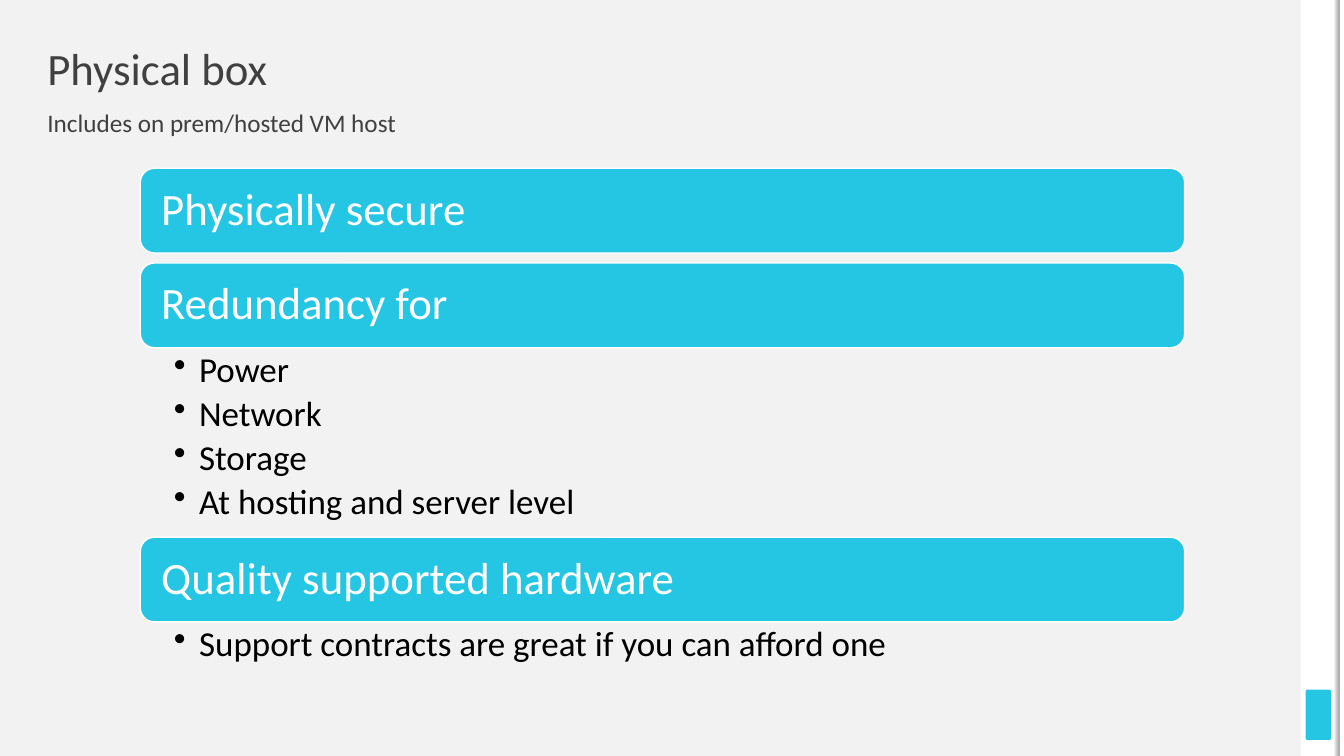
from pptx import Presentation
from pptx.dml.color import RGBColor as Rgb
from pptx.enum.shapes import MSO_SHAPE as Kind
from pptx.enum.text import MSO_ANCHOR as Anchor, PP_ALIGN as Align
from pptx.oxml import parse_xml
from pptx.oxml.ns import nsdecls
from pptx.util import Inches, Pt

WIDE, HIGH = 13.33, 7.5
ROWS = 90
CELL = HIGH / ROWS
CYAN, WHITE, PALE, GREY, INK, BLACK = (
    "25C6E3", "FFFFFF", "F2F2F2", "A6A6A6", "404040", "000000")


def hue(code):
    """Turn a hex string into a colour."""
    return Rgb.from_string(code)


def grid(cells):
    """Turn grid cells into a length."""
    return Inches(cells * CELL)


def apply(target, values):
    """Set each attribute named in a dict."""
    for name, value in values.items():
        setattr(target, name, value)


class Page:
    """Holds the style and the current slide."""

    font = "Calibri"
    sides = ("margin_left", "margin_top", "margin_right", "margin_bottom")

    def __init__(self, deck):
        """Add a blank slide with a pale background."""
        self.slide = deck.slides.add_slide(deck.slide_layouts[6])
        self.shapes = self.slide.shapes
        fill = self.slide.background.fill
        fill.solid()
        fill.fore_color.rgb = hue(PALE)

    def block(self, box, fill, kind=Kind.RECTANGLE, edge=None, fade=None, bend=None):
        """Draw a plain or fading shape."""
        shape = self.shapes.add_shape(kind, *map(grid, box))
        shape.shadow.inherit = False
        if fade:
            shape.fill.gradient()
            shape.fill.gradient_angle = 0
            for stop, code in zip(shape.fill.gradient_stops, (fill, fade)):
                stop.color.rgb = hue(code)
        else:
            shape.fill.solid()
            shape.fill.fore_color.rgb = hue(fill)
        if edge:
            shape.line.color.rgb = hue(edge)
            shape.line.width = Pt(1)
        else:
            shape.line.fill.background()
        if bend is not None:
            shape.adjustments[0] = bend
        return shape

    def fill_in(self, frame, lines, size, code, pad=(0, 0, 0, 0),
                anchor=Anchor.TOP, after=0, dots=False):
        """Fill a text frame, one paragraph a line."""
        apply(frame, {"word_wrap": True, "vertical_anchor": anchor})
        apply(frame, dict(zip(self.sides, map(grid, pad))))
        for spot, line in enumerate(lines):
            para = frame.add_paragraph() if spot else frame.paragraphs[0]
            apply(para, {"alignment": Align.LEFT, "line_spacing": 0.9,
                         "space_after": Pt(after)})
            run = para.add_run()
            run.text = line
            apply(run.font, {"name": self.font, "size": Pt(size)})
            run.font.color.rgb = hue(code)
            if dots:
                self.dot(para)

    def dot(self, para):
        """Give a paragraph a hanging bullet."""
        props = para._p.get_or_add_pPr()
        props.set("marL", str(grid(3)))
        props.set("indent", str(-grid(3)))
        props.append(parse_xml(f'<a:buChar {nsdecls("a")} char="•"/>'))

    def text(self, box, lines, size, code, **style):
        """Add a text box."""
        frame = self.shapes.add_textbox(*map(grid, box)).text_frame
        self.fill_in(frame, lines, size, code, **style)

    def bar(self, box, label):
        """Draw a rounded bar with its heading."""
        shape = self.block(box, CYAN, Kind.ROUNDED_RECTANGLE, edge=WHITE)
        self.fill_in(shape.text_frame, [label], 32, WHITE,
                     pad=(2, 1.5, 2, 1.5), anchor=Anchor.MIDDLE)


deck = Presentation()
apply(deck, {"slide_width": Inches(WIDE), "slide_height": Inches(HIGH)})
page = Page(deck)

# Right edge
page.block((154.8, 0, 4.7, ROWS), WHITE)
page.block((155.4, 82.1, 3, 6), CYAN, Kind.ROUNDED_RECTANGLE, bend=0.07)
page.block((159.4, 0, 0.6, ROWS), WHITE)
page.block((158.8, 0, 0.6, ROWS), PALE, fade=GREY)

# Headings
page.text((5.64, 5.64, 71.8, 5.64), ["Physical box"], 32, INK, anchor=Anchor.MIDDLE)
page.text((5.64, 13.2, 71.8, 4.7), ["Includes on prem/hosted VM host"], 18, INK)

# Bars, each followed by its list or by a gap
LEFT, SPAN, TALL, GAP = 16.7, 124.3, 10.08, 1.2
STEP, REST = 5.2, 1.76
topics = [
    ("Physically secure", []),
    ("Redundancy for", ["Power", "Network", "Storage", "At hosting and server level"]),
    ("Quality supported hardware", ["Support contracts are great if you can afford one"]),
]
top = 20.04
for label, items in topics:
    page.bar((LEFT, top, SPAN, TALL), label)
    top += TALL
    if items:
        deep = REST + STEP * len(items)
        page.text((LEFT, top, SPAN, deep), items, 25, BLACK,
                  pad=(4, 0.5, 3, 0.5), after=4.5, dots=True)
        top += deep
    else:
        top += GAP

deck.save("out.pptx")
